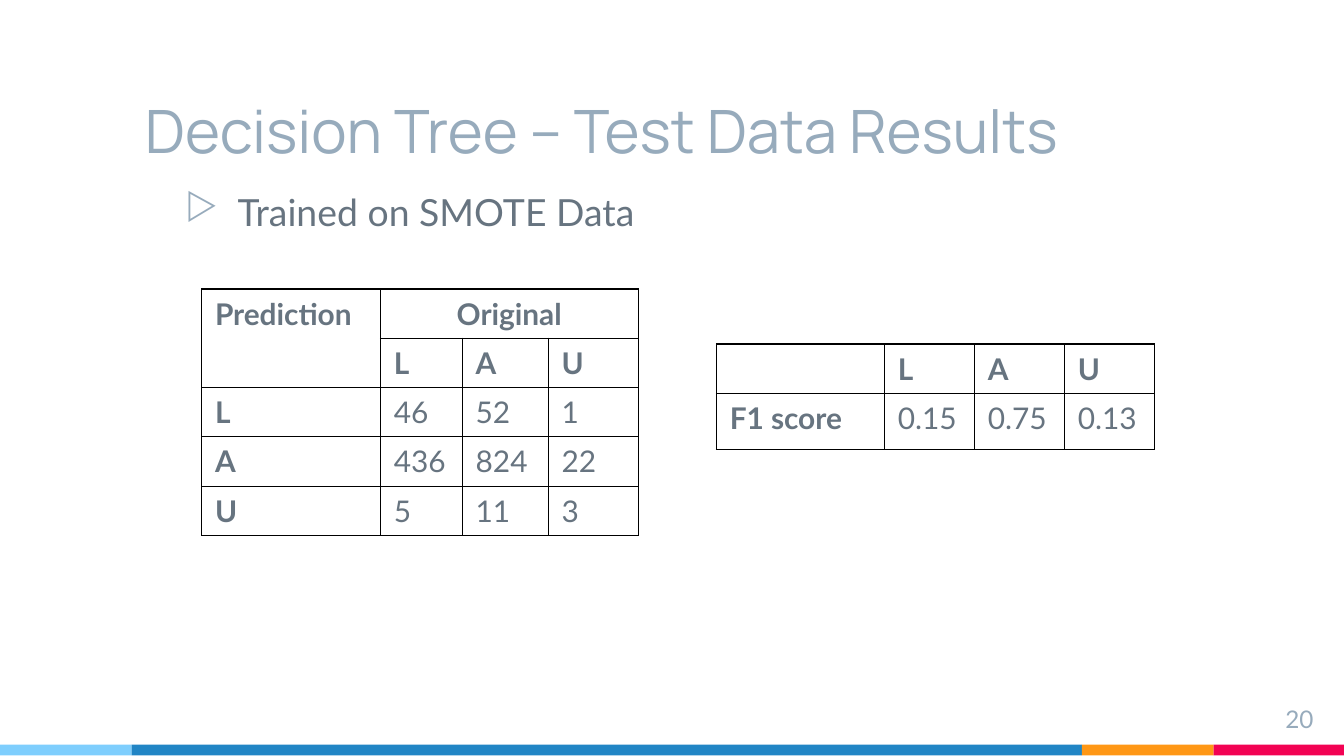
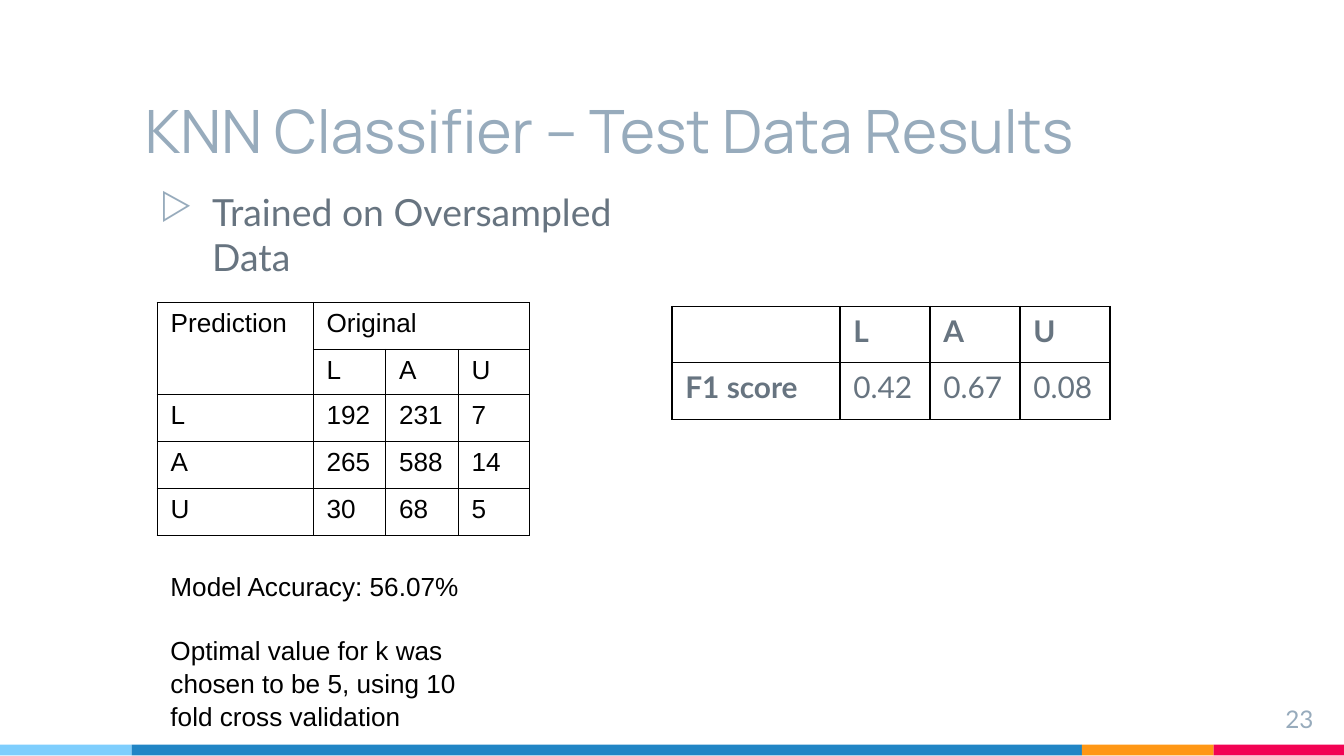
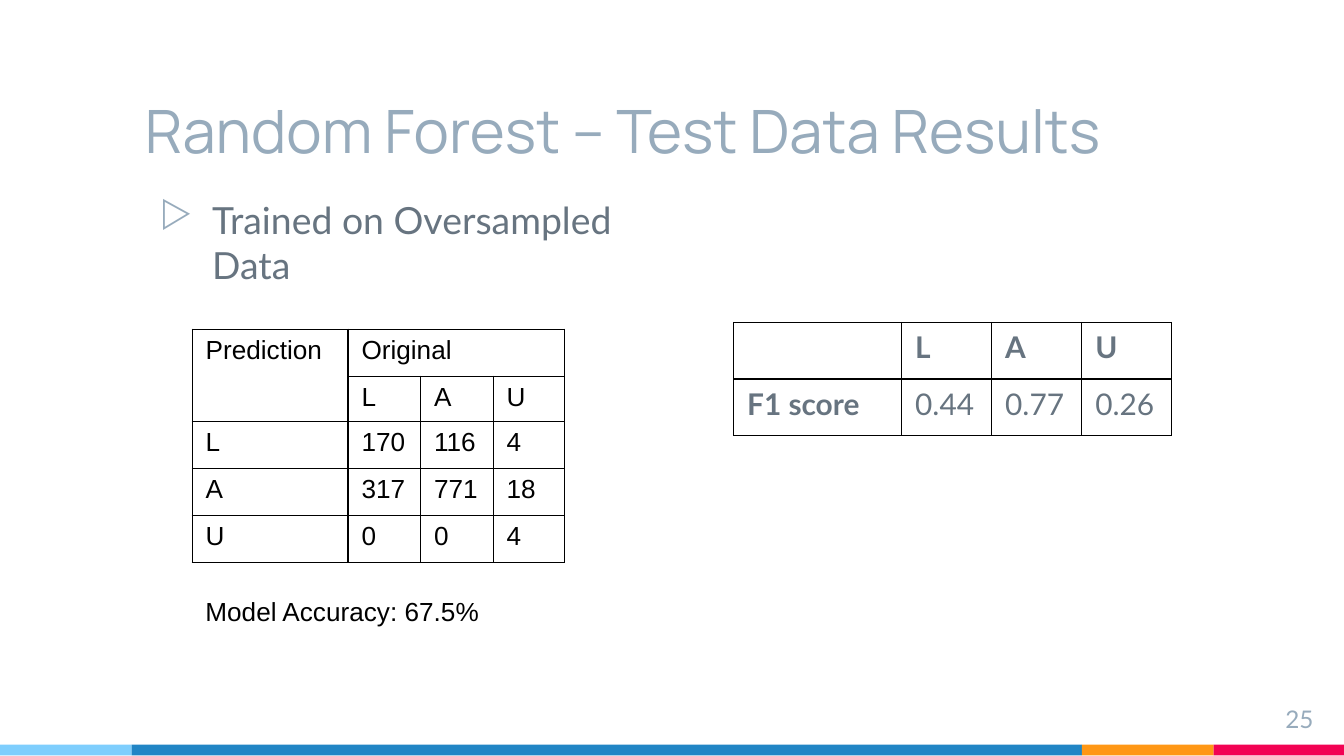
from dataclasses import dataclass

from lxml import etree
from pptx import Presentation
from pptx import util as u
from pptx.dml.color import RGBColor
from pptx.enum import shapes, text
from pptx.oxml import ns

IN = u.Inches


# Theme: colours, fonts and type sizes
@dataclass(frozen=True)
class Theme:
    muted: str = "97ABBC"
    ink: str = "677480"
    black: str = "000000"
    bands: tuple = (("7ECEFD", 0.98), ("2185C5", 7.07),
                    ("FF9715", 0.98), ("F20253", 0.98))
    title_font: str = "Manrope"
    body_font: str = "Lato"
    plain_font: str = "Arial"
    title: int = 32
    body: int = 20
    cell: int = 16
    plain: int = 14
    number: int = 13


T = Theme()
SOFT = dict(font=T.body_font, size=T.cell, color=T.ink)
PLAIN = dict(font=T.plain_font, size=T.plain, color=T.black)


def sub(parent, tag, **attrs):
    return etree.SubElement(parent, ns.qn(tag), attrs)


def write(p, content, *, font, size, color, bold=False, align=None,
          before=None, spacing=None):
    """Fill one paragraph; an empty one only keeps its type size."""
    p.alignment = align
    if before is not None:
        p.space_before = u.Pt(before)
    if spacing is not None:
        p.line_spacing = spacing
    if not content:
        p._p.get_or_add_endParaRPr().set("sz", str(size * 100))
        return
    r = p.add_run()
    r.text = content
    r.font.name, r.font.size, r.font.bold = font, u.Pt(size), bold
    r.font.color.rgb = RGBColor.from_string(color)


def add_bullet(p, char, color):
    pPr = p._p.get_or_add_pPr()
    pPr.set("marL", str(IN(0.5)))
    pPr.set("indent", str(IN(-0.39)))
    sub(sub(pPr, "a:buClr"), "a:srgbClr", val=color)
    sub(pPr, "a:buChar", char=char)


def add_borders(cell, color, width=0.75):
    tcPr = cell._tc.get_or_add_tcPr()
    for side in ("a:lnL", "a:lnR", "a:lnT", "a:lnB"):
        ln = sub(tcPr, side, w=str(u.Pt(width)))
        sub(sub(ln, "a:solidFill"), "a:srgbClr", val=color)


class Deck:
    def __init__(self):
        self.prs = Presentation()
        self.prs.slide_width, self.prs.slide_height = IN(10), IN(5.625)
        self.s = None

    def new_slide(self, title, number):
        self.s = self.prs.slides.add_slide(self.prs.slide_layouts[6])
        self.bands()
        tf = self.box(0.98, 0.39, 7.65, 0.94, anchor=text.MSO_ANCHOR.BOTTOM)
        write(tf.paragraphs[0], title, font=T.title_font, size=T.title,
              color=T.muted)
        tf = self.box(9.27, 5.14, 0.6, 0.34)
        write(tf.paragraphs[0], str(number), font=T.body_font, size=T.number,
              color=T.muted, align=text.PP_ALIGN.RIGHT)

    def bands(self):
        left = 0
        for color, width in T.bands:
            sp = self.s.shapes.add_shape(shapes.MSO_SHAPE.RECTANGLE, IN(left),
                                         IN(5.54), IN(width), IN(0.08))
            sp.shadow.inherit = False
            sp.fill.solid()
            sp.fill.fore_color.rgb = RGBColor.from_string(color)
            sp.line.fill.background()
            left += width

    def box(self, x, y, w, h, inset=0.1, anchor=text.MSO_ANCHOR.TOP):
        sp = self.s.shapes.add_textbox(IN(x), IN(y), IN(w), IN(h))
        tf = sp.text_frame
        tf.word_wrap, tf.vertical_anchor = True, anchor
        tf.margin_top = tf.margin_bottom = IN(inset)
        return tf

    def bullet(self, content, x, y, w, h):
        p = self.box(x, y, w, h).paragraphs[0]
        write(p, content, font=T.body_font, size=T.body, color=T.ink, before=6)
        add_bullet(p, "▷", T.muted)

    def remarks(self, x, y, h, lines):
        tf = self.box(x, y, 2.57, h, inset=0.05)
        for i, line in enumerate(lines):
            p = tf.add_paragraph() if i else tf.paragraphs[0]
            write(p, line, before=17 if i else 0, spacing=1.05, **PLAIN)

    def table(self, x, y, cols, rows, values, style, heads=0, spans=(),
              centred=()):
        """Draw a ruled grid; with `heads`, those rows and column 0 are bold."""
        frame = self.s.shapes.add_table(len(rows), len(cols), IN(x), IN(y),
                                        IN(sum(cols)), IN(sum(rows)))
        tbl = frame.table
        tbl.first_row = tbl.horz_banding = False
        for col, width in zip(tbl.columns, cols):
            col.width = IN(width)
        for row, height in zip(tbl.rows, rows):
            row.height = IN(height)
        for i, line in enumerate(values):
            for j, value in enumerate(line):
                cell = tbl.cell(i, j)
                write(cell.text_frame.paragraphs[0], value,
                      bold=heads > 0 and (i < heads or j == 0),
                      align=text.PP_ALIGN.CENTER if (i, j) in centred else None,
                      **style)
                add_borders(cell, T.black)
                cell.fill.background()
        for first, last in spans:
            tbl.cell(*first).merge(tbl.cell(*last))

    def confusion(self, x, y, counts, cols=(1.16, 0.54, 0.54, 0.53),
                  emphasis=False):
        values = [("Prediction", "Original", "", ""), ("", *"LAU")]
        values += [(name, *map(str, row)) for name, row in zip("LAU", counts)]
        self.table(x, y, cols, (0.35, 0.23, 0.35, 0.35, 0.35), values,
                   SOFT if emphasis else PLAIN, heads=2 if emphasis else 0,
                   spans=(((0, 0), (1, 0)), ((0, 1), (0, 3))),
                   centred=((0, 1),) if emphasis else ())

    def f1_scores(self, x, y, scores, head=0.42):
        self.table(x, y, (1.25, 0.67, 0.67, 0.67), (head, 0.42),
                   [("", *"LAU"), ("F1 score", *scores)], SOFT, heads=1)


def main():
    d = Deck()

    # Decision tree
    d.new_slide("Decision Tree – Test Data Results", 20)
    d.bullet("Trained on SMOTE Data", 1.17, 1.31, 7.58, 4.07)
    d.f1_scores(5.33, 2.56, ("0.15", "0.75", "0.13"), head=0.33)
    d.confusion(1.5, 2.15, ((46, 52, 1), (436, 824, 22), (5, 11, 3)),
                cols=(1.33, 0.61, 0.64, 0.67), emphasis=True)

    # KNN classifier
    d.new_slide("KNN Classifier – Test Data Results", 23)
    d.bullet("Trained on Oversampled Data", 0.98, 1.31, 3.92, 0.94)
    d.confusion(1.17, 2.25, ((192, 231, 7), (265, 588, 14), (30, 68, 5)))
    d.remarks(1.17, 4.18, 1.28, (
        "Model Accuracy: 56.07%",
        "Optimal value for k was chosen to be 5, using 10 fold cross validation"))
    d.f1_scores(5, 2.28, ("0.42", "0.67", "0.08"))

    # Random forest
    d.new_slide("Random Forest – Test Data Results", 25)
    d.bullet("Trained on Oversampled Data", 0.98, 1.37, 3.92, 0.94)
    d.confusion(1.43, 2.45, ((170, 116, 4), (317, 771, 18), (0, 0, 4)))
    d.remarks(1.43, 4.37, 0.57, ("Model Accuracy: 67.5%",))
    d.f1_scores(5.46, 2.4, ("0.44", "0.77", "0.26"))

    d.prs.save("out.pptx")


if __name__ == "__main__":
    main()
